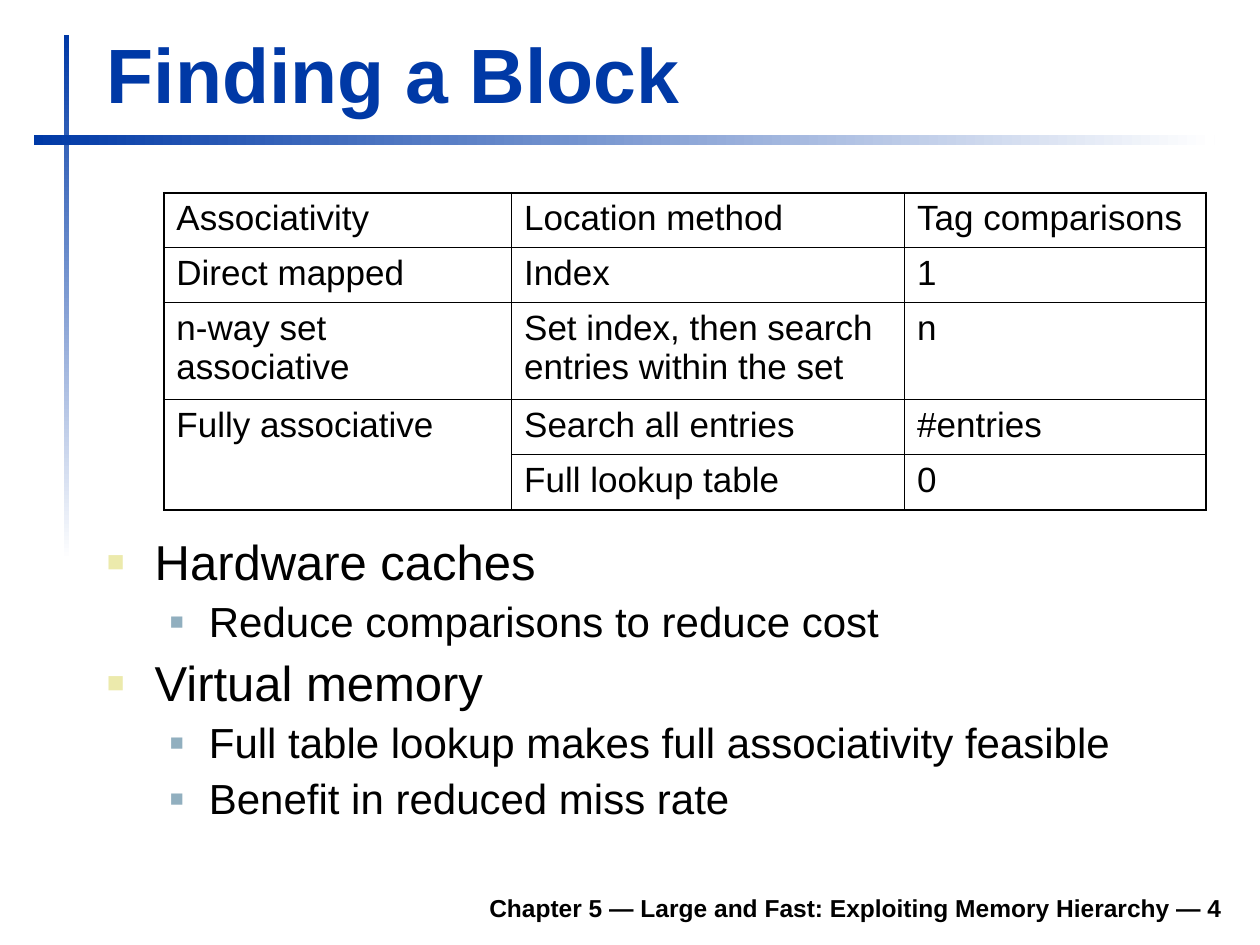
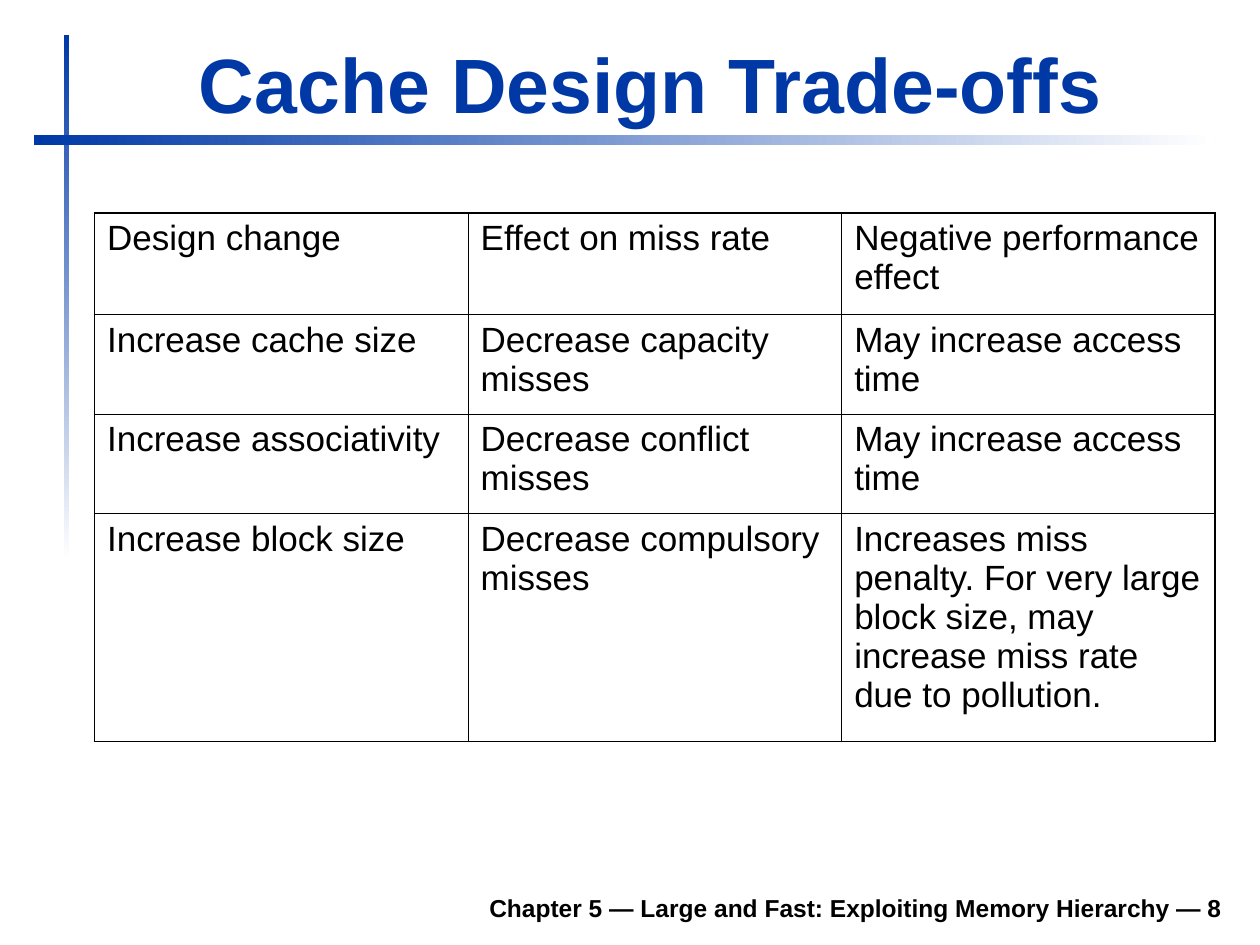
from typing import NamedTuple

from lxml.etree import SubElement
from pptx import Presentation
from pptx.dml.color import RGBColor
from pptx.enum.shapes import MSO_SHAPE
from pptx.enum.text import MSO_ANCHOR, PP_ALIGN
from pptx.oxml import parse_xml
from pptx.oxml.ns import nsdecls, qn
from pptx.presentation import Presentation as Deck
from pptx.slide import Slide
from pptx.table import _Cell as Cell
from pptx.text.text import TextFrame, _Paragraph as Paragraph
from pptx.util import Emu, Inches, Pt

SLIDE_WIDTH, SLIDE_HEIGHT = Inches(10), Inches(7.5)
GRID_COLUMNS, GRID_ROWS = 100, 75
FONT = "Arial"
BLUE, WHITE, BLACK = "0039A6", "FFFFFF", "000000"
OUTER_LINE, HEADER_LINE, INNER_LINE = 1.08, 0.75, 0.45
FOOTER = "Chapter 5 — Large and Fast: Exploiting Memory Hierarchy — {}"


class Box(NamedTuple):
    """Place and size in grid columns and rows."""

    left: float
    top: float
    width: float
    height: float


class Band(NamedTuple):
    """Bar that fades from blue to white at an angle."""

    box: Box
    angle: int


class BulletStyle(NamedTuple):
    """Look of one outline level, with indents in grid columns."""

    size: int
    space_before: int
    margin: float
    hanging: float
    color: str
    percent: int


class Bullet(NamedTuple):
    """One line of an outline."""

    level: int
    text: str


class TableContent(NamedTuple):
    """Table place, column widths, row heights, texts and merged cells."""

    box: Box
    widths: list[float]
    heights: list[float]
    rows: list[list[str]]
    merges: list[tuple[int, int, int, int]] = []


BANDS = [Band(Box(5.1, 2.8, 0.4, 41.7), 270), Band(Box(2.7, 10.7, 93.7, 0.8), 0)]
FOOTER_BOX = Box(18.5, 69.8, 79.5, 3.9)
BULLET_STYLES = [
    BulletStyle(28, 7, 3.8, 3.8, "ECEAAC", 60),
    BulletStyle(24, 6, 8.1, 3.1, "91AFBF", 55),
]

BLOCK_TABLE = TableContent(
    Box(13, 15.3, 82.7, 25.3),
    [27.6, 31.2, 23.9],
    [4.37, 4.37, 7.7, 4.37, 4.37],
    [
        ["Associativity", "Location method", "Tag comparisons"],
        ["Direct mapped", "Index", "1"],
        ["n-way set associative", "Set index, then search entries within the set", "n"],
        ["Fully associative", "Search all entries", "#entries"],
        ["", "Full lookup table", "0"],
    ],
    [(3, 0, 4, 0)],
)
BLOCK_BULLETS = [
    Bullet(0, "Hardware caches"),
    Bullet(1, "Reduce comparisons to reduce cost"),
    Bullet(0, "Virtual memory"),
    Bullet(1, "Full table lookup makes full associativity feasible"),
    Bullet(1, "Benefit in reduced miss rate"),
]
TRADE_OFF_TABLE = TableContent(
    Box(7.5, 16.9, 89, 41.9),
    [29.65, 29.65, 29.65],
    [8.05, 7.9, 7.9, 18.1],
    [
        ["Design change", "Effect on miss rate", "Negative performance effect"],
        ["Increase cache size", "Decrease capacity misses", "May increase access time"],
        ["Increase associativity", "Decrease conflict misses", "May increase access time"],
        [
            "Increase block size",
            "Decrease compulsory misses",
            "Increases miss penalty. For very large block size, may increase miss rate due to pollution.",
        ],
    ],
)


def across(columns: float) -> Emu:
    """Turn grid columns into a length."""
    return Emu(round(SLIDE_WIDTH * columns / GRID_COLUMNS))


def down(rows: float) -> Emu:
    """Turn grid rows into a length."""
    return Emu(round(SLIDE_HEIGHT * rows / GRID_ROWS))


def place(box: Box) -> tuple[Emu, Emu, Emu, Emu]:
    """Turn a grid box into left, top, width and height."""
    return across(box.left), down(box.top), across(box.width), down(box.height)


def color(value: str) -> RGBColor:
    """Turn a hex string into a colour."""
    return RGBColor.from_string(value)


def write(
    paragraph: Paragraph,
    text: str,
    *,
    size: int,
    ink: str = BLACK,
    bold: bool = False,
    align: PP_ALIGN = PP_ALIGN.LEFT,
    space_before: int = 0,
    line_spacing: float = 1.0,
) -> None:
    """Fill a paragraph with one formatted run."""
    paragraph.alignment = align
    paragraph.space_before = Pt(space_before)
    paragraph.line_spacing = line_spacing
    run = paragraph.add_run()
    run.text = text
    run.font.name = FONT
    run.font.size = Pt(size)
    run.font.bold = bold
    run.font.color.rgb = color(ink)


def add_text_frame(slide: Slide, box: Box, anchor: MSO_ANCHOR) -> TextFrame:
    """Add a wrapping text box and return its frame."""
    frame = slide.shapes.add_textbox(*place(box)).text_frame
    frame.word_wrap = True
    frame.vertical_anchor = anchor
    return frame


def add_band(slide: Slide, band: Band) -> None:
    """Draw one fading bar."""
    shape = slide.shapes.add_shape(MSO_SHAPE.RECTANGLE, *place(band.box))
    shape.shadow.inherit = False
    shape.line.fill.background()
    shape.fill.gradient()
    shape.fill.gradient_angle = band.angle
    for stop, shade in zip(shape.fill.gradient_stops, (BLUE, WHITE)):
        stop.color.rgb = color(shade)


def add_page(presentation: Deck, title: str, title_box: Box, number: int) -> Slide:
    """Add a slide with the shared bands, footer and title."""
    slide = presentation.slides.add_slide(presentation.slide_layouts[6])
    for band in BANDS:
        add_band(slide, band)
    footer = add_text_frame(slide, FOOTER_BOX, MSO_ANCHOR.BOTTOM)
    write(footer.paragraphs[0], FOOTER.format(number), size=14, bold=True, align=PP_ALIGN.RIGHT)
    heading = add_text_frame(slide, title_box, MSO_ANCHOR.BOTTOM)
    write(heading.paragraphs[0], title, size=44, ink=BLUE, bold=True)
    return slide


def set_bullet(paragraph: Paragraph, style: BulletStyle) -> None:
    """Give a paragraph a square bullet and a hanging indent."""
    properties = paragraph._p.get_or_add_pPr()
    properties.set("marL", str(across(style.margin)))
    properties.set("indent", str(-across(style.hanging)))
    bullet_color = SubElement(properties, qn("a:buClr"))
    SubElement(bullet_color, qn("a:srgbClr"), val=style.color)
    SubElement(properties, qn("a:buSzPct"), val=str(style.percent * 1000))
    SubElement(properties, qn("a:buFont"), typeface=FONT)
    SubElement(properties, qn("a:buChar"), char="■")


def add_outline(slide: Slide, box: Box, bullets: list[Bullet]) -> None:
    """Write a bulleted outline."""
    frame = add_text_frame(slide, box, MSO_ANCHOR.TOP)
    for index, bullet in enumerate(bullets):
        paragraph = frame.add_paragraph() if index else frame.paragraphs[0]
        paragraph.level = bullet.level
        style = BULLET_STYLES[bullet.level]
        write(paragraph, bullet.text, size=style.size, space_before=style.space_before, line_spacing=0.9)
        set_bullet(paragraph, style)


def set_borders(cell: Cell, widths: dict[str, float]) -> None:
    """Draw the four borders of a cell, given widths in points."""
    properties = cell._tc.get_or_add_tcPr()
    for index, (side, width) in enumerate(widths.items()):
        line = parse_xml(
            f'<a:ln{side} {nsdecls("a")} w="{Pt(width)}"><a:solidFill>'
            f'<a:srgbClr val="{BLACK}"/></a:solidFill></a:ln{side}>'
        )
        properties.insert(index, line)


def row_line(edge: int, row_count: int) -> float:
    """Return the width of the horizontal line at a row edge."""
    if edge in (0, row_count):
        return OUTER_LINE
    return HEADER_LINE if edge == 1 else INNER_LINE


def column_line(edge: int, column_count: int) -> float:
    """Return the width of the vertical line at a column edge."""
    return OUTER_LINE if edge in (0, column_count) else INNER_LINE


def add_grid_table(slide: Slide, content: TableContent) -> None:
    """Draw an unfilled table with ruled borders."""
    row_count, column_count = len(content.heights), len(content.widths)
    table = slide.shapes.add_table(row_count, column_count, *place(content.box)).table
    table.first_row = table.horz_banding = False
    for column, width in zip(table.columns, content.widths):
        column.width = across(width)
    for row, height in zip(table.rows, content.heights):
        row.height = down(height)
    for top, left, bottom, right in content.merges:
        table.cell(top, left).merge(table.cell(bottom, right))
    for row_index, texts in enumerate(content.rows):
        for column_index, text in enumerate(texts):
            cell = table.cell(row_index, column_index)
            if cell.is_spanned:
                continue
            cell.fill.background()
            write(cell.text_frame.paragraphs[0], text, size=20, space_before=5)
            row_end = row_index + (cell.span_height if cell.is_merge_origin else 1)
            borders = {
                "L": column_line(column_index, column_count),
                "R": column_line(column_index + 1, column_count),
                "T": row_line(row_index, row_count),
                "B": row_line(row_end, row_count),
            }
            set_borders(cell, borders)


def main() -> None:
    """Build and save the presentation."""
    presentation = Presentation()
    presentation.slide_width, presentation.slide_height = SLIDE_WIDTH, SLIDE_HEIGHT
    block_slide = add_page(presentation, "Finding a Block", Box(7.5, 1.6, 90.3, 8.3), 4)
    add_outline(block_slide, Box(7.5, 42.2, 90.4, 26), BLOCK_BULLETS)
    add_grid_table(block_slide, BLOCK_TABLE)
    trade_off_slide = add_page(presentation, "Cache Design Trade-offs", Box(14.8, 2.3, 85.2, 8.4), 8)
    add_grid_table(trade_off_slide, TRADE_OFF_TABLE)
    presentation.save("out.pptx")


if __name__ == "__main__":
    main()
